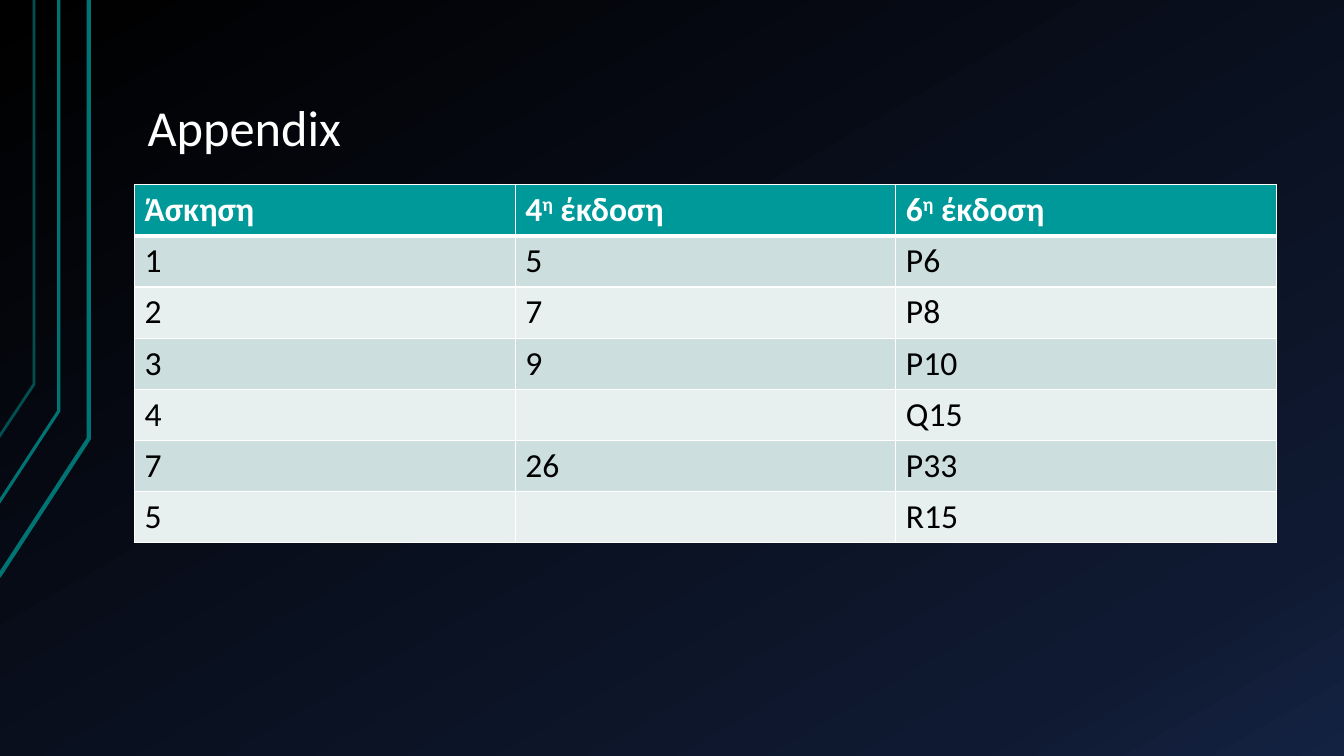
import copy
from dataclasses import dataclass

import lxml.etree
import pptx
import pptx.dml.color
import pptx.enum.dml
import pptx.enum.text
import pptx.oxml
import pptx.oxml.ns
import pptx.util

TITLE = "Appendix"
HEADERS = [("Άσκηση",), ("4", "η", " έκδοση"), ("6", "η", " έκδοση")]
EXERCISES = [
    ("1", "5", "P6"),
    ("2", "7", "P8"),
    ("3", "9", "P10"),
    ("4", "", "Q15"),
    ("7", "26", "P33"),
    ("5", "", "R15"),
]
CIRCUIT_LINES = [
    {"x": 2.24, "bend": 11.05, "end": 14.53, "width": 3, "color": "007373"},
    {"x": 1.48, "bend": 10.36, "end": 12.67, "width": 2.25, "color": "007373"},
    {"x": 0.86, "bend": 9.68, "end": 11.02, "width": 2, "color": "005050"},
]


@dataclass(frozen=True)
class Theme:
    font: str = "Calibri"
    title_size: int = 36
    table_size: int = 24
    light: str = "FFFFFF"
    dark: str = "000000"
    header: str = "009999"
    bands: tuple = ("CCDEDE", "E7EFEF")
    backdrop: tuple = ((0, "000000"), (0.85, "0F1931"), (1, "142242"))
    backdrop_angle: int = 300


THEME = Theme()
Cm = pptx.util.Cm
Pt = pptx.util.Pt
LEFT, WIDTH = Cm(3.39), Cm(28.78)
TABLE_TOP, ROW_HEIGHT = Cm(4.65), Cm(1.29)


def rgb(color):
    return pptx.dml.color.RGBColor.from_string(color)


def style_span(span, size, color, bold=False):
    span.font.name = THEME.font
    span.font.size = Pt(size)
    span.font.bold = bold
    span.font.color.rgb = rgb(color)


def paint_backdrop(page):
    fill = page.background.fill
    fill.gradient()
    fill.gradient_angle = THEME.backdrop_angle
    stop_list = page.background._cSld.find(".//" + pptx.oxml.ns.qn("a:gsLst"))
    stop_list.insert(1, copy.deepcopy(stop_list[0]))
    for stop, (position, color) in zip(fill.gradient_stops, THEME.backdrop):
        stop.position = position
        stop.color.rgb = rgb(color)


def draw_circuit_line(page, x, bend, end, width, color):
    builder = page.shapes.build_freeform(Cm(-0.03), Cm(end))
    builder.add_line_segments([(Cm(x), Cm(bend)), (Cm(x), 0)], close=False)
    shape = builder.convert_to_shape()
    shape.shadow.inherit = False
    shape.fill.background()
    shape.line.color.rgb = rgb(color)
    shape.line.width = Pt(width)


def write_title(page):
    box = page.shapes.title
    box.left, box.top, box.width, box.height = LEFT, Cm(0.76), WIDTH, Cm(3.4)
    frame = box.text_frame
    frame.text = TITLE
    frame.word_wrap = True
    frame.auto_size = pptx.enum.text.MSO_AUTO_SIZE.NONE
    frame.vertical_anchor = pptx.enum.text.MSO_ANCHOR.BOTTOM
    frame.margin_left = frame.margin_right = Cm(0.33)
    frame.margin_top = frame.margin_bottom = Cm(0.18)
    para = frame.paragraphs[0]
    para.alignment = pptx.enum.text.PP_ALIGN.LEFT
    para.line_spacing = 0.9
    style_span(para.runs[0], THEME.title_size, THEME.light)


def border_cell(cell, top, bottom):
    properties = cell._tc.get_or_add_tcPr()
    for side, points in (("L", 1), ("R", 1), ("T", top), ("B", bottom)):
        line = lxml.etree.SubElement(
            properties, pptx.oxml.ns.qn(f"a:ln{side}"), w=str(Pt(points)))
        fill = lxml.etree.SubElement(line, pptx.oxml.ns.qn("a:solidFill"))
        lxml.etree.SubElement(
            fill, pptx.oxml.ns.qn("a:srgbClr"), val=THEME.light)


def fill_cell(cell, pieces, row):
    is_header = row == 0
    border_cell(cell, 3 if row == 1 else 1, 3 if is_header else 1)
    cell.fill.solid()
    cell.fill.fore_color.rgb = rgb(
        THEME.header if is_header else THEME.bands[(row - 1) % 2])
    para = cell.text_frame.paragraphs[0]
    para.font.size = Pt(THEME.table_size)
    for index, piece in enumerate(pieces):
        if not piece:
            continue
        span = para.add_run()
        span.text = piece
        style_span(span, THEME.table_size,
                   THEME.light if is_header else THEME.dark, is_header)
        if index == 1:
            span.font._element.set("baseline", "30000")


def build_table(page):
    rows = [HEADERS] + [[(text,) for text in row] for row in EXERCISES]
    table = page.shapes.add_table(
        len(rows), len(HEADERS), LEFT, TABLE_TOP, WIDTH,
        ROW_HEIGHT * len(rows)).table
    table.horz_banding = False
    for row, entries in enumerate(rows):
        for column, pieces in enumerate(entries):
            fill_cell(table.cell(row, column), pieces, row)


def main():
    deck = pptx.Presentation()
    deck.slide_width, deck.slide_height = Cm(33.87), Cm(19.05)
    page = deck.slides.add_slide(deck.slide_layouts[5])
    paint_backdrop(page)
    for circuit_line in CIRCUIT_LINES:
        draw_circuit_line(page, **circuit_line)
    write_title(page)
    build_table(page)
    deck.save("out.pptx")


if __name__ == "__main__":
    main()
